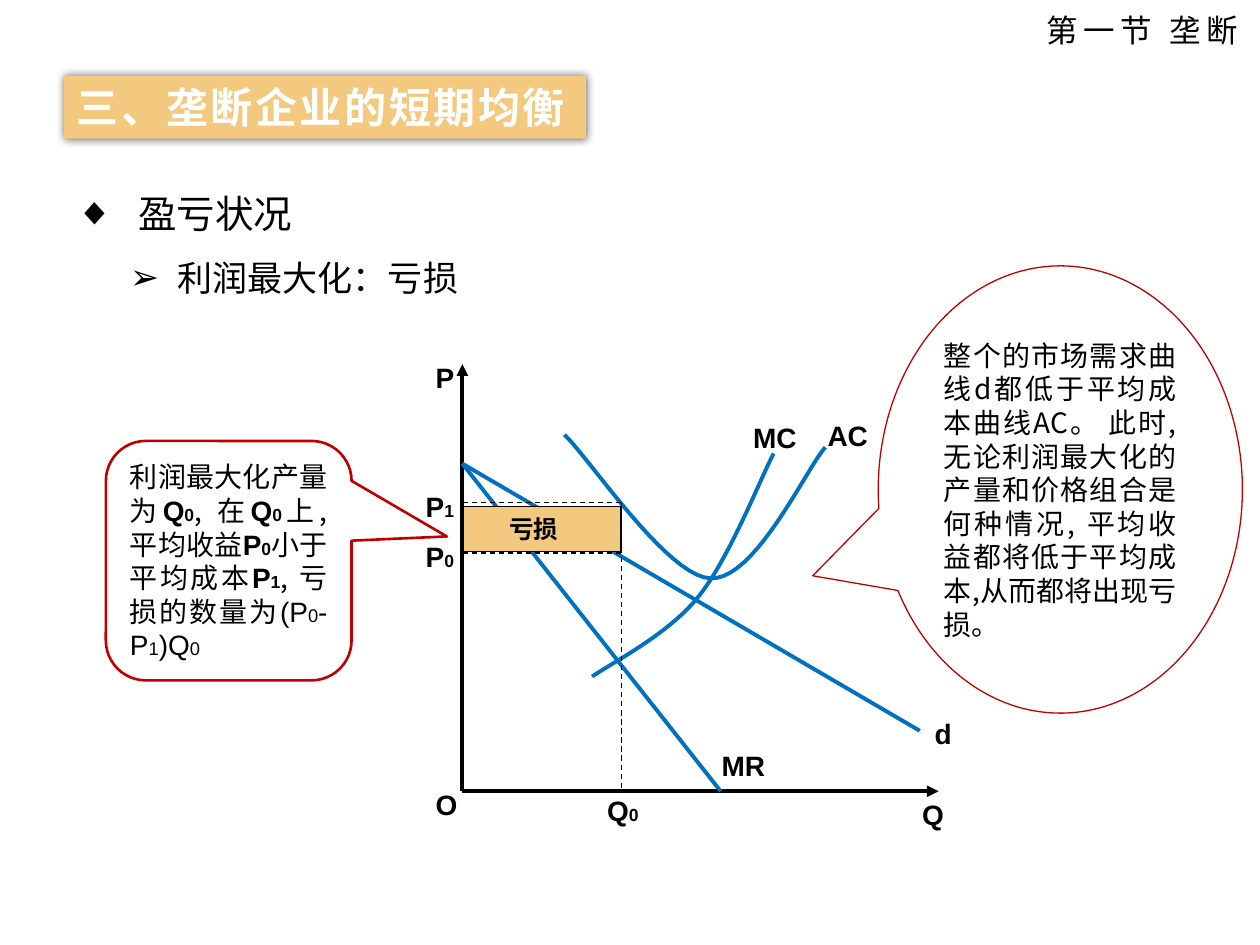
import pptx
import pptx.util
import pptx.dml.color
import pptx.enum.dml
import pptx.enum.shapes
import pptx.enum.text
import pptx.oxml
import pptx.oxml.ns
from lxml import etree

Inches, Pt = pptx.util.Inches, pptx.util.Pt
RGBColor = pptx.dml.color.RGBColor
SHAPE = pptx.enum.shapes.MSO_SHAPE
ALIGN = pptx.enum.text.PP_ALIGN
ANCHOR = pptx.enum.text.MSO_ANCHOR
qn = pptx.oxml.ns.qn

BLACK = RGBColor(0x00, 0x00, 0x00)
WHITE = RGBColor(0xFF, 0xFF, 0xFF)
BLUE = RGBColor(0x00, 0x70, 0xC0)
RED = RGBColor(0xC0, 0x00, 0x00)
SAND = RGBColor(0xF3, 0xC9, 0x7F)
CJK, LATIN = "Noto Sans CJK SC", "Arial"


def add_text(p, text, size=16, font=CJK, color=BLACK, bold=False, spacing=0):
    r = p.add_run()
    r.text = text
    r.font.size, r.font.bold, r.font.name = Pt(size), bold, font
    r.font.color.rgb = color
    rPr = r._r.get_or_add_rPr()
    etree.SubElement(rPr, qn("a:ea"), typeface=font)
    if spacing:
        rPr.set("spc", str(int(spacing * 100)))


def add_symbol(p, letter, index, size=10, bold=True):
    """Write a letter followed by its small index."""
    add_text(p, letter, font=LATIN, bold=bold)
    if index:
        add_text(p, index, size=size, font=LATIN, bold=bold)


def place(shape, box):
    shape.left, shape.top, shape.width, shape.height = map(Inches, box)


def frame(shape, wrap=True, anchor=ANCHOR.MIDDLE):
    tf = shape.text_frame
    tf.auto_size = pptx.enum.text.MSO_AUTO_SIZE.NONE
    tf.word_wrap, tf.vertical_anchor = wrap, anchor
    return tf


def add_box(s, kind, box, fill, line, width=0.75):
    sp = s.shapes.add_shape(kind, *map(Inches, box))
    sp.shadow.inherit = False
    sp.fill.solid()
    sp.fill.fore_color.rgb = fill
    sp.line.color.rgb, sp.line.width = line, Pt(width)
    return sp


def add_line(s, start, end, color, width, dash=False, arrow=False):
    c = s.shapes.add_connector(pptx.enum.shapes.MSO_CONNECTOR.STRAIGHT,
                               *map(Inches, start + end))
    c.line.color.rgb, c.line.width = color, Pt(width)
    if dash:
        c.line.dash_style = pptx.enum.dml.MSO_LINE.DASH
    if arrow:
        etree.SubElement(c.line._get_or_add_ln(), qn("a:tailEnd"), type="triangle")
    etree.SubElement(c._element.spPr, qn("a:effectLst"))


def bezier(p0, p1, p2, p3, steps=20):
    """Points of a cubic curve after its start."""
    for i in range(1, steps + 1):
        t = i / steps
        u = 1 - t
        yield tuple(u**3 * a + 3 * u * u * t * b + 3 * u * t * t * c + t**3 * d
                    for a, b, c, d in zip(p0, p1, p2, p3))


def add_curve(s, knots):
    points = [q for i in range(0, len(knots) - 1, 3) for q in bezier(*knots[i:i + 4])]
    fb = s.shapes.build_freeform(*map(Inches, knots[0]))
    fb.add_line_segments([tuple(map(Inches, q)) for q in points], close=False)
    sp = fb.convert_to_shape()
    sp.shadow.inherit = False
    sp.fill.background()
    sp.line.color.rgb, sp.line.width = BLUE, Pt(2.25)


def add_title(s, box):
    sp = s.shapes.title
    place(sp, box)
    sp.fill.solid()
    sp.fill.fore_color.rgb = SAND
    sp._element.spPr.append(pptx.oxml.parse_xml(
        '<a:effectLst xmlns:a="http://schemas.openxmlformats.org/drawingml/2006/main">'
        '<a:outerShdw blurRad="63500" dist="0" dir="0" algn="ctr" rotWithShape="0">'
        '<a:srgbClr val="000000"><a:alpha val="60000"/></a:srgbClr>'
        '</a:outerShdw></a:effectLst>'))
    p = frame(sp, wrap=False).paragraphs[0]
    p.alignment = ALIGN.LEFT
    add_text(p, "三、垄断企业的短期均衡", size=24, color=WHITE, bold=True, spacing=1.5)


def add_section_name(s, box):
    sp = s.shapes.add_textbox(*map(Inches, box))
    add_text(frame(sp, wrap=False).paragraphs[0], "第一节 垄断", size=18, spacing=3)


def add_outline(s, box):
    sp = s.placeholders[1]
    place(sp, box)
    tf = frame(sp, anchor=ANCHOR.TOP)
    items = (("◆", "盈亏状况", 22, 0.5, 0.5, 0, 1),
             ("➢", "利润最大化：亏损", 20, 0.81, 0.38, 4, 1.3))
    for i, (bullet, text, size, margin, hang, before, spacing) in enumerate(items):
        p = tf.add_paragraph() if i else tf.paragraphs[0]
        pPr = p._p.get_or_add_pPr()
        pPr.set("marL", str(Inches(margin)))
        pPr.set("indent", str(-Inches(hang)))
        etree.SubElement(pPr, qn("a:buChar"), char=bullet)
        p.alignment, p.space_before, p.line_spacing = ALIGN.LEFT, Pt(before), spacing
        add_text(p, text, size=size)


def add_graph(s, box):
    """Draw the cost and demand curves; the origin is the box's lower left corner."""
    left, top, width, height = box

    def at(x, y):
        return left + x, top + height - y

    p1, p0, q0 = 2.29, 1.89, 1.26
    for end in ((0, height), (width, 0)):
        add_line(s, at(0, 0), at(*end), BLACK, 2.25, arrow=True)
    mc = ((2.47, 2.68), (2.37, 2.49), (2.11, 1.83), (1.87, 1.54),
          (1.63, 1.24), (1.17, 1.01), (1.03, 0.91))
    ac = ((2.88, 2.73), (2.73, 2.56), (2.32, 1.67), (1.97, 1.69),
          (1.63, 1.7), (1.01, 2.64), (0.81, 2.83))
    for knots in (mc, ac):
        add_curve(s, [at(*k) for k in knots])
    for end in ((3.63, 0.48), (2.05, 0)):
        add_line(s, at(0, 2.6), at(*end), BLUE, 2.25)
    for end in ((q0, 0), (0, p1)):
        add_line(s, at(q0, p1), at(*end), BLACK, 0.75, dash=True)
    add_line(s, at(q0, p0), at(0, p0), BLACK, 0.75, dash=True)

    labels = (("P", "", -0.31, 3.47), ("O", "", -0.31, 0.08), ("Q", "", 3.55, 0),
              ("MC", "", 2.21, 2.99), ("AC", "", 2.8, 3.01), ("d", "", 3.65, 0.64),
              ("MR", "", 1.96, 0.39), ("Q", "0", 1.05, 0.03),
              ("P", "0", -0.39, 2.05), ("P", "1", -0.39, 2.44))
    for letter, index, x, y in labels:
        sp = s.shapes.add_textbox(*map(Inches, at(x, y) + (0.6, 0.37)))
        tf = frame(sp, wrap=False, anchor=ANCHOR.TOP)
        add_symbol(tf.paragraphs[0], letter, index)

    sp = add_box(s, SHAPE.RECTANGLE, at(0.01, 2.26) + (1.25, 0.36), SAND, BLACK)
    tf = frame(sp)
    tf.margin_left = Inches(0.36)
    tf.paragraphs[0].alignment = ALIGN.LEFT
    add_text(tf.paragraphs[0], "亏损", size=14, bold=True)


def add_callout(s, kind, box, adjustments, width):
    """Add a red speech balloon and return its paragraph."""
    sp = add_box(s, kind, box, WHITE, RED, width)
    for i, value in enumerate(adjustments):
        sp.adjustments[i] = value
    p = frame(sp).paragraphs[0]
    p.alignment, p.line_spacing = ALIGN.JUSTIFY, Pt(19.2)
    p._p.get_or_add_pPr().set("hangingPunct", "0")
    return p


def add_loss_note(s, box):
    p = add_callout(s, SHAPE.ROUNDED_RECTANGULAR_CALLOUT, box, (0.888, -0.101, 0.167), 1.5)
    for text, letter, index in (("利润最大化产量为", "Q", "0"), (", 在", "Q", "0"),
                                ("上, 平均收益", "P", "0"), ("小于平均成本", "P", "1")):
        add_text(p, text)
        add_symbol(p, letter, index)
    add_text(p, ", 亏损的数量为")
    for letter, index in (("(P", "0"), ("-P", "1"), (")Q", "0")):
        add_symbol(p, letter, index, size=10.5, bold=False)


def add_demand_note(s, box):
    p = add_callout(s, SHAPE.OVAL_CALLOUT, box, (-0.68, 0.193), 0.75)
    add_text(p, "整个的市场需求曲线d都低于平均成本曲线AC。 此时, 无论利润最大化的产量和价格组合"
                "是何种情况, 平均收益都将低于平均成本,从而都将出现亏损。")


def main():
    prs = pptx.Presentation()
    prs.slide_width, prs.slide_height = Inches(10), Inches(7.5)
    s = prs.slides.add_slide(prs.slide_layouts[1])
    add_title(s, (0.51, 0.6, 4.14, 0.5))
    add_section_name(s, (8.21, 0.04, 1.79, 0.4))
    add_outline(s, (0.5, 1.46, 5, 1.2))
    add_graph(s, (3.67, 2.89, 3.78, 3.39))
    add_loss_note(s, (0.84, 3.5, 1.95, 1.9))
    add_demand_note(s, (6.97, 2.11, 2.89, 3.55))
    prs.save("out.pptx")


if __name__ == "__main__":
    main()
